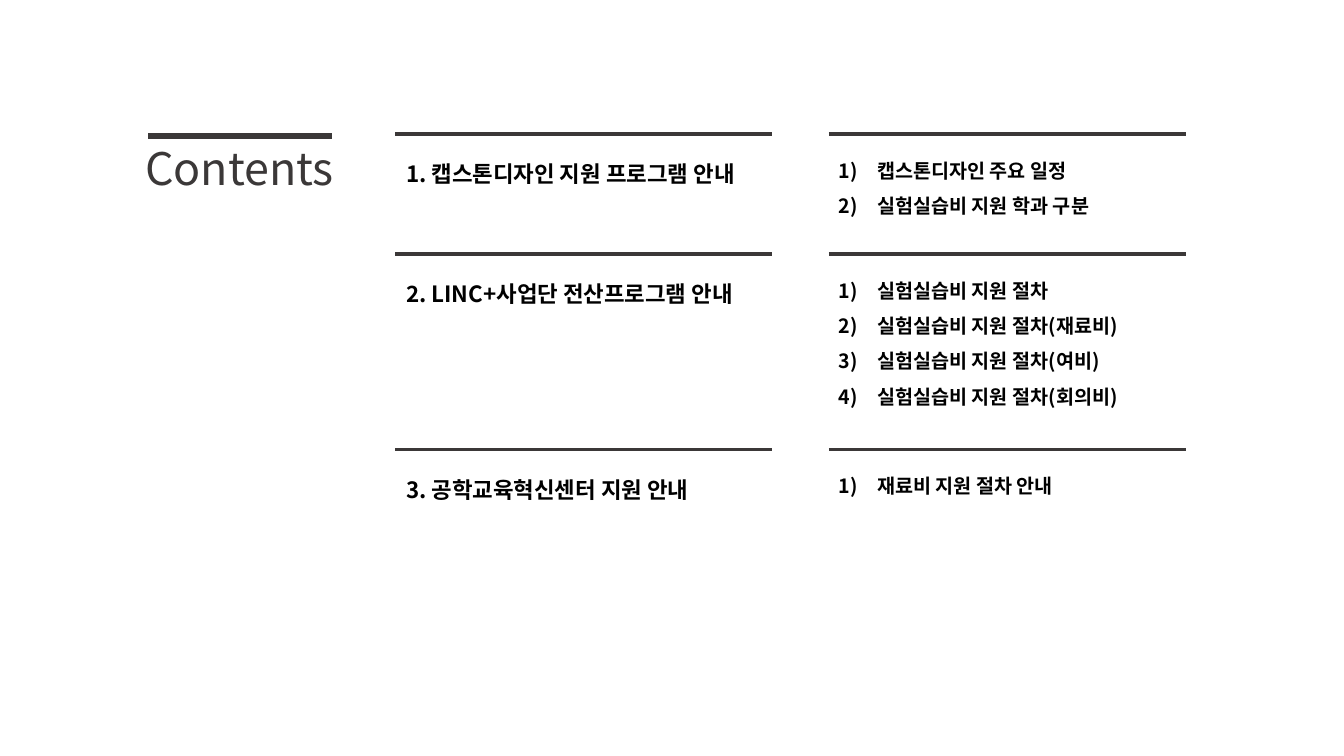
from lxml import etree
from pptx import Presentation
from pptx.dml.color import RGBColor
from pptx.enum.shapes import MSO_CONNECTOR
from pptx.enum.text import MSO_AUTO_SIZE
from pptx.oxml.ns import qn
from pptx.util import Inches, Pt

STRAIGHT = MSO_CONNECTOR.STRAIGHT
FIT_SHAPE = MSO_AUTO_SIZE.SHAPE_TO_FIT_TEXT
FONT = "Noto Sans CJK KR"
DARK = RGBColor(0x3B, 0x38, 0x38)
BLACK = RGBColor(0, 0, 0)

# Column edges, in inches
TOPIC_LEFT, TOPIC_RIGHT = 3.92, 7.66
DETAIL_LEFT, DETAIL_RIGHT = 8.22, 11.76
TEXT_GAP = 0.08
INDENT = Inches(0.38)

SECTIONS = [
    (1.33, "1. 캡스톤디자인 지원 프로그램 안내",
     ["캡스톤디자인 주요 일정", "실험실습비 지원 학과 구분"]),
    (2.52, "2. LINC+사업단 전산프로그램 안내",
     ["실험실습비 지원 절차", "실험실습비 지원 절차(재료비)",
      "실험실습비 지원 절차(여비)", "실험실습비 지원 절차(회의비)"]),
    (4.46, "3. 공학교육혁신센터 지원 안내", ["재료비 지원 절차 안내"]),
]

presentation = Presentation()
presentation.slide_width = Inches(13.33)
presentation.slide_height = Inches(7.5)
slide = presentation.slides.add_slide(presentation.slide_layouts[6])


def add_text(lines, left, top, width, height, size, color=BLACK, bold=True,
             spacing=1.5, numbered=False, wrap=True):
    box = slide.shapes.add_textbox(Inches(left), Inches(top), Inches(width), Inches(height))
    frame = box.text_frame
    frame.word_wrap = wrap
    frame.auto_size = FIT_SHAPE
    frame.text = "\n".join(lines)
    for paragraph in frame.paragraphs:
        paragraph.line_spacing = spacing
        if numbered:
            properties = paragraph._p.get_or_add_pPr()
            properties.set("marL", str(INDENT))
            properties.set("indent", str(-INDENT))
            bullet_font = etree.SubElement(properties, qn("a:buFont"))
            bullet_font.set("typeface", "+mj-lt")
            number = etree.SubElement(properties, qn("a:buAutoNum"))
            number.set("type", "arabicParenR")
        font = paragraph.runs[0].font
        font.size = Pt(size)
        font.bold = bold
        font.color.rgb = color
        font.name = FONT
        east_asian = etree.SubElement(font._element, qn("a:ea"))
        east_asian.set("typeface", FONT)


def add_rule(left, right, top, weight):
    rule = slide.shapes.add_connector(
        STRAIGHT, Inches(left), Inches(top), Inches(right), Inches(top))
    rule.line.color.rgb = DARK
    rule.line.width = Pt(weight)
    etree.SubElement(rule._element.spPr, qn("a:effectLst"))


# Title
add_text(["Contents"], 1.34, 1.35, 2.08, 0.64, 32, color=DARK, bold=False,
         spacing=1.0, wrap=False)
add_rule(1.47, 3.29, 1.35, 4.5)

# Sections: a topic on the left, its numbered details on the right
for top, topic, details in SECTIONS:
    text_top = top + TEXT_GAP
    add_rule(TOPIC_LEFT, TOPIC_RIGHT, top, 2.25)
    add_rule(DETAIL_LEFT, DETAIL_RIGHT, top, 2.25)
    add_text([topic], TOPIC_LEFT + 0.01, text_top, 3.93, 0.46, 16)
    add_text(details, DETAIL_LEFT, text_top, 3.49, 0.1 + 0.35 * len(details), 14,
             numbered=True)

presentation.save("out.pptx")
